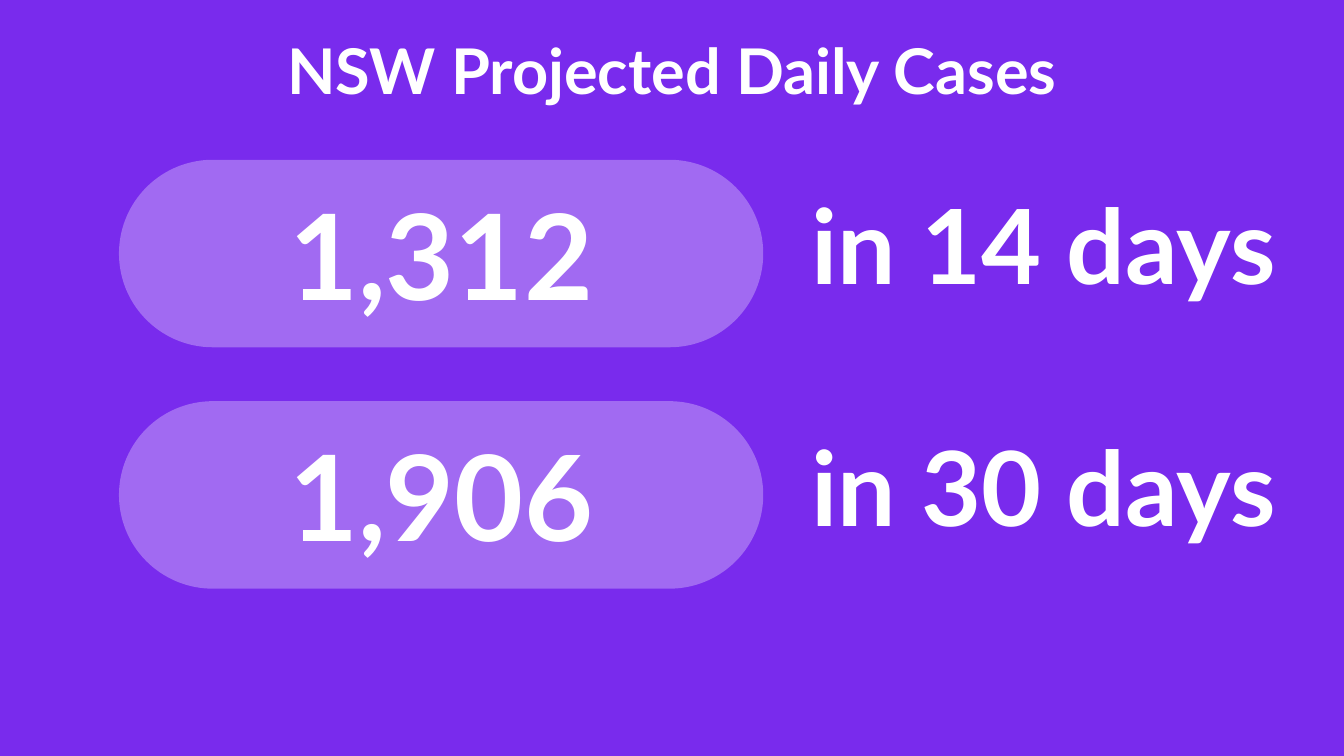
import pptx
import pptx.util
import pptx.dml.color
import pptx.enum.shapes
import pptx.enum.text
import pptx.oxml
import pptx.oxml.ns

Inches = pptx.util.Inches
PURPLE = pptx.dml.color.RGBColor(0x79, 0x2B, 0xED)
LILAC = pptx.dml.color.RGBColor(0xC9, 0xA9, 0xF8)
WHITE = pptx.dml.color.RGBColor(0xFF, 0xFF, 0xFF)

TEXT_WIDTH, TEXT_HEIGHT = 16.34, 2.96
ROW_PITCH = 4.79
PROJECTIONS = [("1,312", "in 14 days"), ("1,906", "in 30 days")]


def write_text(shape, text, size):
    """Fill a shape with one centred line of bold white text."""
    frame = shape.text_frame
    frame_format = {
        "word_wrap": True,
        "auto_size": pptx.enum.text.MSO_AUTO_SIZE.NONE,
        "vertical_anchor": pptx.enum.text.MSO_ANCHOR.TOP,
    }
    for name, value in frame_format.items():
        setattr(frame, name, value)
    paragraph = frame.paragraphs[0]
    paragraph.alignment = pptx.enum.text.PP_ALIGN.CENTER
    run = paragraph.add_run()
    run.text = text
    font_format = {"name": "Lato", "size": pptx.util.Pt(size), "bold": True}
    for name, value in font_format.items():
        setattr(run.font, name, value)
    run.font.color.rgb = WHITE


presentation = pptx.Presentation()
presentation.slide_width = Inches(26.66)
presentation.slide_height = Inches(15)
slide = presentation.slides.add_slide(presentation.slide_layouts[5])

# Background
slide.background.fill.solid()
slide.background.fill.fore_color.rgb = PURPLE

# Title
title = slide.shapes.title
title_position = {"left": 5.16, "top": 0.58, "width": TEXT_WIDTH, "height": TEXT_HEIGHT}
for name, value in title_position.items():
    setattr(title, name, Inches(value))
write_text(title, "NSW Projected Daily Cases", 90)

# One row per projection: pill, case count and time span
for row, (cases, span) in enumerate(PROJECTIONS):
    offset = row * ROW_PITCH
    pill = slide.shapes.add_shape(
        pptx.enum.shapes.MSO_SHAPE.ROUNDED_RECTANGLE,
        Inches(2.36), Inches(3.17 + offset), Inches(12.78), Inches(3.72))
    pill.adjustments[0] = 0.5
    pill.shadow.inherit = False
    pill.line.fill.background()
    pill.fill.solid()
    pill.fill.fore_color.rgb = LILAC
    color = pill.fill._xPr.find(".//" + pptx.oxml.ns.qn("a:srgbClr"))
    alpha = pptx.oxml.parse_xml(
        f'<a:alpha {pptx.oxml.ns.nsdecls("a")} val="50000"/>')
    color.append(alpha)

    for text, left, size in [(cases, 0.58, 170), (span, 12.53, 148)]:
        box = slide.shapes.add_textbox(
            Inches(left), Inches(3.55 + offset),
            Inches(TEXT_WIDTH), Inches(TEXT_HEIGHT))
        write_text(box, text, size)

presentation.save("out.pptx")
